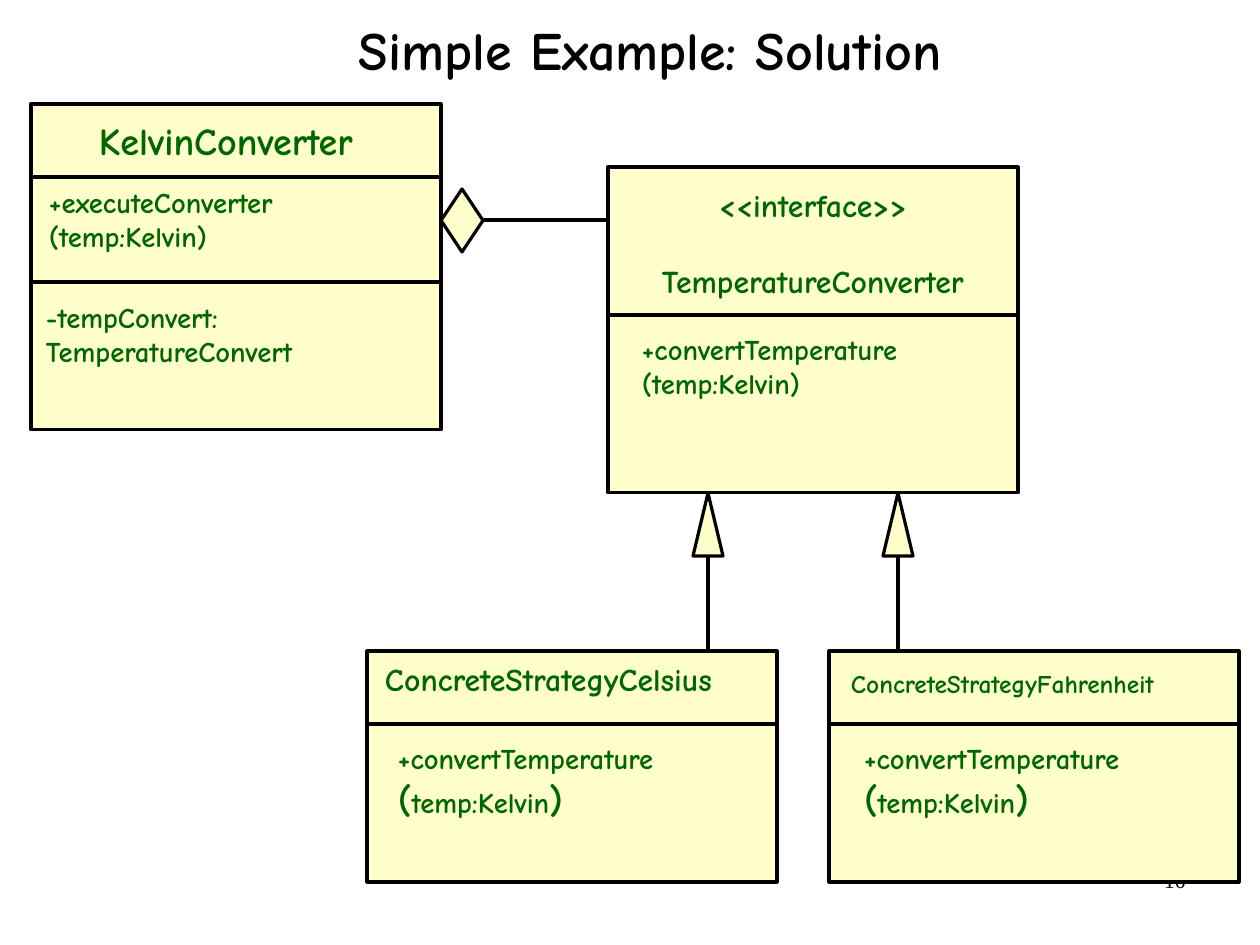
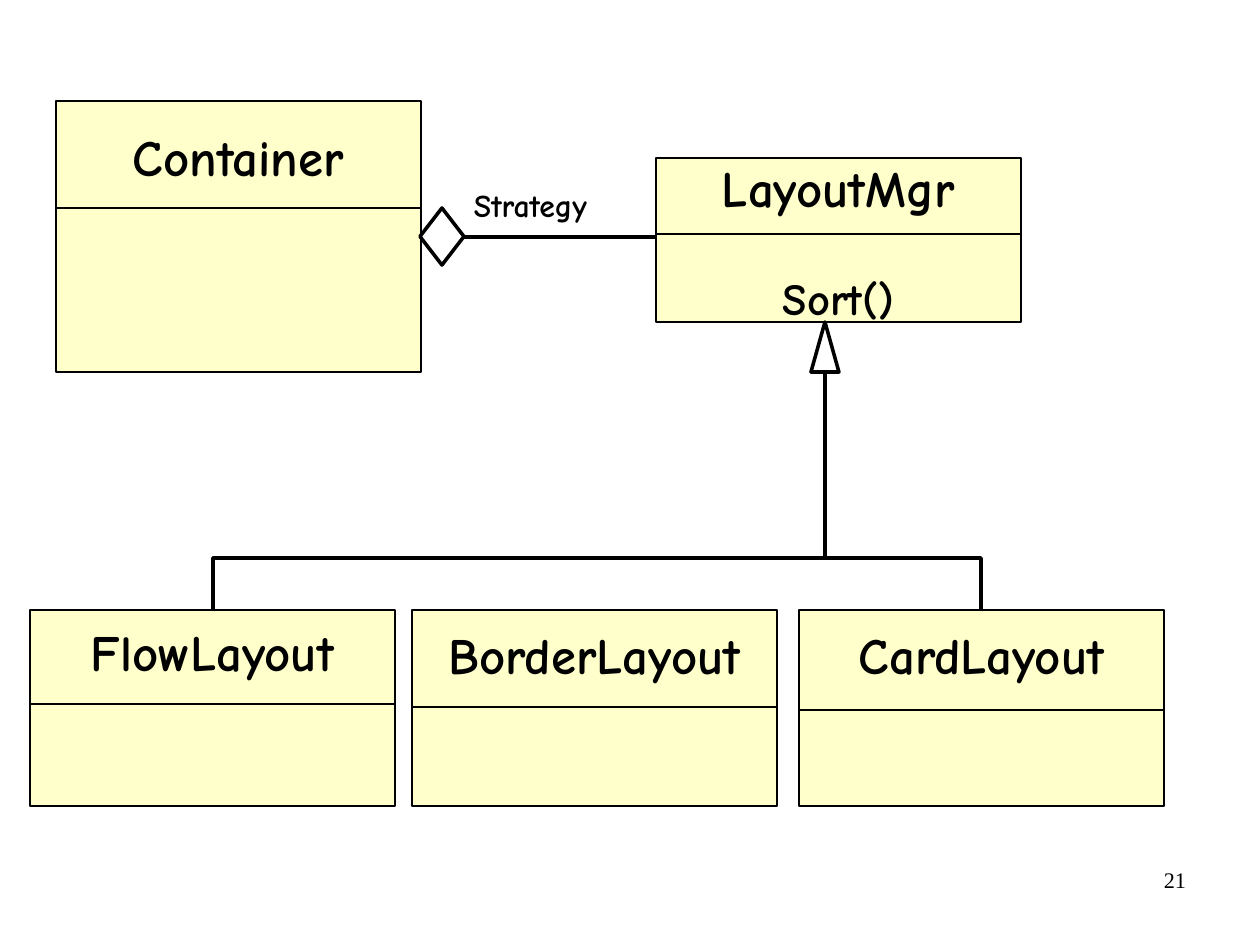
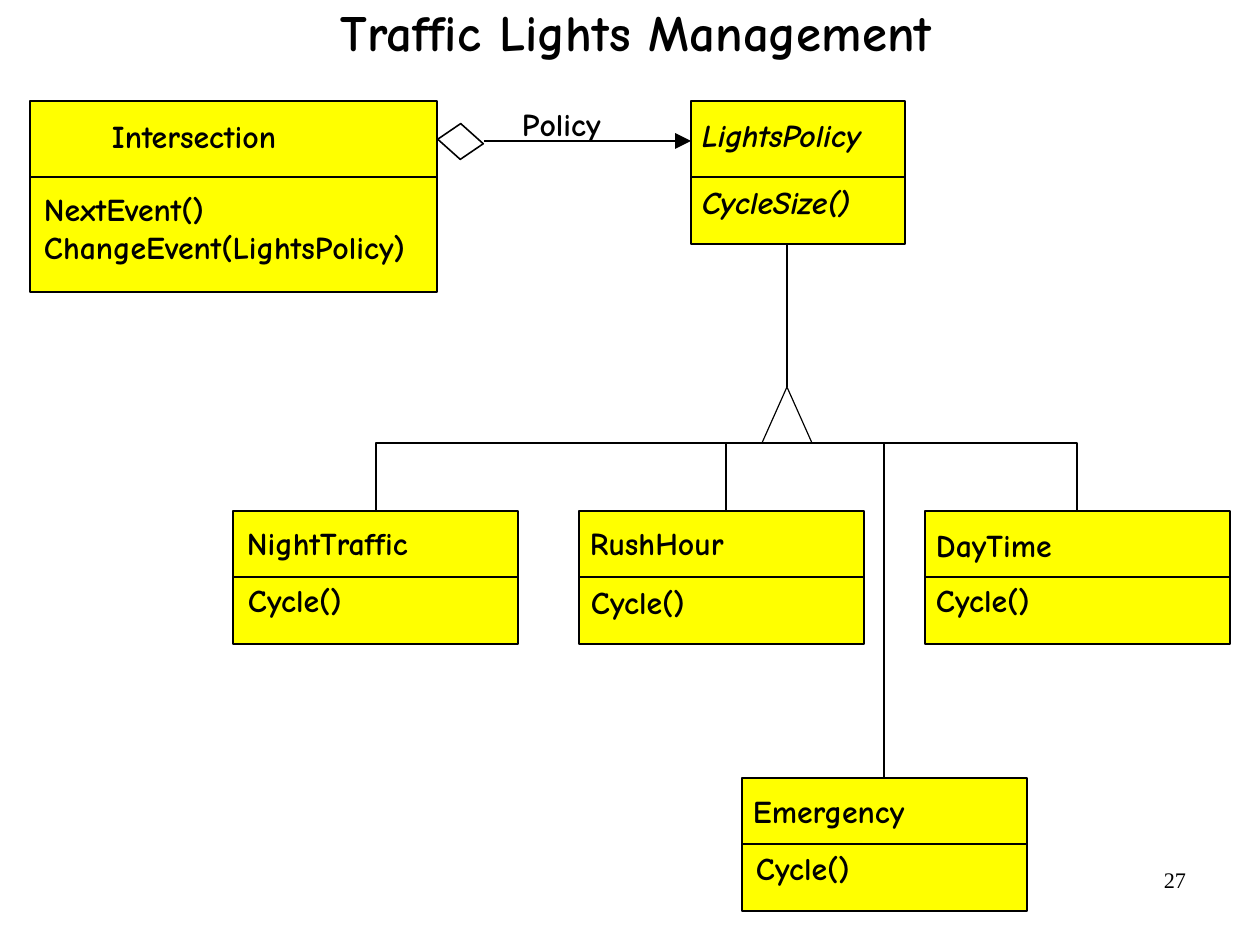
from dataclasses import dataclass

from lxml.etree import SubElement
from pptx import Presentation
from pptx.dml.color import RGBColor
from pptx.enum.shapes import MSO_CONNECTOR, MSO_SHAPE
from pptx.enum.text import MSO_ANCHOR, MSO_AUTO_SIZE, PP_ALIGN
from pptx.oxml.ns import qn
from pptx.util import Pt

PX = 8000  # EMU per px
PAGE_WIDTH, PAGE_HEIGHT = 1260, 945
TITLE_HEIGHT = 71
INSET_X, INSET_Y = 11, 6
LINE_PX_PER_POINT = 1.9
TITLE_ONLY, BLANK = 5, 6
FONT, NUMBER_FONT = "Comic Neue", "Times New Roman"
COLORS = {
    "ink": "000000",
    "green": "006600",
    "cream": "FFFFCC",
    "yellow": "FFFF00",
    "white": "FFFFFF",
}
Point = tuple[int, int]


@dataclass(frozen=True)
class Span:
    text: str
    size: int


@dataclass(frozen=True)
class Label:
    left: int
    top: int
    width: int
    lines: tuple[str | tuple[Span, ...], ...]
    size: int = 20
    align: PP_ALIGN = PP_ALIGN.LEFT
    bold: bool = True
    italic: bool = False
    font: str = FONT
    gap: int = 0


@dataclass(frozen=True)
class ClassBox:
    """Divider and label positions are relative to the box."""
    left: int
    top: int
    width: int
    height: int
    dividers: tuple[int, ...]
    labels: tuple[Label, ...]


@dataclass(frozen=True)
class Marker:
    kind: MSO_SHAPE
    left: int
    top: int
    width: int
    height: int
    fill: str | None = None
    rotation: float = 0


@dataclass(frozen=True)
class Link:
    start: Point
    end: Point
    arrow: bool = False


@dataclass(frozen=True)
class Title:
    text: str
    left: int
    top: int
    width: int
    size: int


@dataclass(frozen=True)
class Diagram:
    number: int
    fill: str
    edge: float
    link_width: float
    marker_width: float
    boxes: tuple[ClassBox, ...]
    markers: tuple[Marker, ...]
    links: tuple[Link, ...]
    traces: tuple[tuple[Point, ...], ...] = ()
    labels: tuple[Label, ...] = ()
    title: Title | None = None
    text_color: str = "ink"


def rgb(name: str) -> RGBColor:
    return RGBColor.from_string(COLORS[name])


def emu(*lengths: int) -> list[int]:
    return [length * PX for length in lengths]


def style_shape(shape, fill: str | None, line_width: float) -> None:
    shape.shadow.inherit = False
    if fill:
        shape.fill.solid()
        shape.fill.fore_color.rgb = rgb(fill)
    else:
        shape.fill.background()
    shape.line.color.rgb = rgb("ink")
    shape.line.width = Pt(line_width)


def style_font(font, name: str, size: int, color: str, bold: bool, italic: bool = False) -> None:
    font.name = name
    font.size = Pt(size)
    font.bold = bold
    font.italic = italic
    font.color.rgb = rgb(color)


def draw_label(page, label: Label, color: str, left: int = 0, top: int = 0) -> None:
    """Draw a label, shifted by the corner of the box that holds it."""
    height = round(len(label.lines) * label.size * LINE_PX_PER_POINT) + 2 * INSET_Y
    box = page.shapes.add_textbox(*emu(left + label.left, top + label.top, label.width, height))
    frame = box.text_frame
    frame.word_wrap = True
    frame.margin_left = frame.margin_right = INSET_X * PX
    frame.margin_top = frame.margin_bottom = INSET_Y * PX
    for index, line in enumerate(label.lines):
        para = frame.add_paragraph() if index else frame.paragraphs[0]
        para.alignment = label.align
        para.space_before = Pt(label.gap if index else 0)
        style_font(para.font, label.font, label.size, color, label.bold, label.italic)
        if isinstance(line, str):
            para.add_run().text = line
            continue
        for span in line:
            run = para.add_run()
            run.text = span.text
            run.font.size = Pt(span.size)


def draw_link(page, link: Link, width: float) -> None:
    connector = page.shapes.add_connector(MSO_CONNECTOR.STRAIGHT, *emu(*link.start, *link.end))
    connector.line.color.rgb = rgb("ink")
    connector.line.width = Pt(width)
    if link.arrow:
        SubElement(connector.line._get_or_add_ln(), qn("a:tailEnd"),
                   type="triangle", w="lg", len="lg")
    SubElement(connector._element.spPr, qn("a:effectLst"))


def draw_trace(page, points: tuple[Point, ...], width: float) -> None:
    """Draw an open line through the points."""
    builder = page.shapes.build_freeform(*points[0], scale=PX)
    builder.add_line_segments(points[1:], close=False)
    style_shape(builder.convert_to_shape(), None, width)


def draw_class_box(page, box: ClassBox, diagram: Diagram) -> None:
    area = emu(box.left, box.top, box.width, box.height)
    outline = page.shapes.add_shape(MSO_SHAPE.RECTANGLE, *area)
    style_shape(outline, diagram.fill, diagram.edge)
    for offset in box.dividers:
        y = box.top + offset
        draw_link(page, Link((box.left, y), (box.left + box.width, y)), diagram.edge)
    for label in box.labels:
        draw_label(page, label, diagram.text_color, box.left, box.top)


def draw_marker(page, marker: Marker, width: float) -> None:
    area = emu(marker.left, marker.top, marker.width, marker.height)
    shape = page.shapes.add_shape(marker.kind, *area)
    shape.rotation = marker.rotation
    style_shape(shape, marker.fill, width)


def draw_title(page, title: Title) -> None:
    box = page.shapes.title
    box.left, box.top, box.width, box.height = emu(title.left, title.top, title.width, TITLE_HEIGHT)
    frame = box.text_frame
    frame.text = title.text
    frame.auto_size = MSO_AUTO_SIZE.NONE
    frame.vertical_anchor = MSO_ANCHOR.MIDDLE
    frame.margin_top = frame.margin_bottom = 0
    para = frame.paragraphs[0]
    para.alignment = PP_ALIGN.CENTER
    para.line_spacing = 0.88
    style_font(para.font, FONT, title.size, "ink", True)


def draw_page(deck, diagram: Diagram) -> None:
    page = deck.slides.add_slide(deck.slide_layouts[TITLE_ONLY if diagram.title else BLANK])
    if diagram.title:
        draw_title(page, diagram.title)
    number = Label(903, 860, 294, (str(diagram.number),), 14, PP_ALIGN.RIGHT,
                   bold=False, font=NUMBER_FONT)
    draw_label(page, number, "ink")
    for box in diagram.boxes:
        draw_class_box(page, box, diagram)
    for link in diagram.links:
        draw_link(page, link, diagram.link_width)
    for points in diagram.traces:
        draw_trace(page, points, diagram.link_width)
    for marker in diagram.markers:
        draw_marker(page, marker, diagram.marker_width)
    for label in diagram.labels:
        draw_label(page, label, diagram.text_color)


def concrete_strategy(left: int, name: Label, operation_left: int) -> ClassBox:
    argument = (Span("(", 24), Span("temp:Kelvin", 18), Span(")", 24))
    operation = Label(operation_left, 84, 366, ("+convertTemperature", argument), 18)
    return ClassBox(left, 651, 410, 231, (73,), (name, operation))


def converter_diagram() -> Diagram:
    context = ClassBox(31, 104, 410, 326, (73, 178), (
        Label(57, 7, 309, ("KelvinConverter",), 24),
        Label(7, 75, 285, ("+executeConverter", "(temp:Kelvin)"), 18),
        Label(4, 190, 307, ("-tempConvert:", "TemperatureConvert"), 18),
    ))
    interface = ClassBox(608, 167, 410, 326, (148,), (
        Label(20, 13, 370, ("<<interface>>", "TemperatureConverter"),
              align=PP_ALIGN.CENTER, gap=24),
        Label(23, 159, 362, ("+convertTemperature", "(temp:Kelvin)"), 18),
    ))
    celsius = concrete_strategy(367, Label(7, 3, 399, ("ConcreteStrategyCelsius",)), 20)
    fahrenheit = concrete_strategy(829, Label(11, 11, 391, ("ConcreteStrategyFahrenheit",), 16), 24)
    arrow_centers = (708, 898)
    return Diagram(
        number=10, fill="cream", edge=2, link_width=2, marker_width=2, text_color="green",
        title=Title("Simple Example: Solution", 68, 18, 1165, 34),
        boxes=(context, interface, celsius, fahrenheit),
        markers=(
            Marker(MSO_SHAPE.DIAMOND, 441, 189, 42, 63, "cream"),
            *(Marker(MSO_SHAPE.ISOSCELES_TRIANGLE, x - 15, 493, 30, 63, "cream")
              for x in arrow_centers),
        ),
        links=(Link((484, 220), (610, 220)),
               *(Link((x, 651), (x, 557)) for x in arrow_centers)),
    )


def layout_class(name: str, left: int, top: int, height: int, divider: int,
                 name_top: int, *more: Label) -> ClassBox:
    label = Label(0, name_top, 365, (name,), 32, PP_ALIGN.CENTER)
    return ClassBox(left, top, 365, height, (divider,), (label, *more))


def layout_diagram() -> Diagram:
    row = (("FlowLayout", 30, 94, 5), ("BorderLayout", 412, 97, 8), ("CardLayout", 799, 100, 8))
    sort = Label(0, 107, 365, ("Sort()",), 28, PP_ALIGN.CENTER)
    row_top, rail = 610, 558
    return Diagram(
        number=21, fill="cream", edge=1, link_width=2.25, marker_width=2.25,
        boxes=(
            layout_class("LayoutMgr", 656, 158, 164, 76, -7, sort),
            layout_class("Container", 56, 101, 271, 107, 19),
            *(layout_class(name, left, row_top, 196, divider, name_top)
              for name, left, divider, name_top in row),
        ),
        markers=(Marker(MSO_SHAPE.DIAMOND, 420, 208, 44, 57, "white"),
                 Marker(MSO_SHAPE.ISOSCELES_TRIANGLE, 811, 322, 28, 50)),
        links=(Link((463, 237), (655, 237)), Link((825, 372), (825, rail))),
        traces=(((213, row_top), (213, rail), (981, rail), (981, row_top)),),
        labels=(Label(463, 180, 163, ("Strategy",)),),
    )


def traffic_policy(name: str, corner: Point, name_at: Point, cycle_at: Point,
                   width: int = 285) -> ClassBox:
    return ClassBox(*corner, width, 133, (66,), (
        Label(*name_at, 237, (name,)),
        Label(*cycle_at, 136, ("Cycle()",)),
    ))


def traffic_diagram() -> Diagram:
    intersection = ClassBox(30, 101, 407, 191, (76,), (
        Label(71, 10, 227, ("Intersection",)),
        Label(3, 83, 442, ("NextEvent()", "ChangeEvent(LightsPolicy)")),
    ))
    policy = ClassBox(691, 101, 214, 143, (76,), (
        Label(0, 9, 214, ("LightsPolicy",), italic=True),
        Label(0, 76, 214, ("CycleSize()",), italic=True),
    ))
    rail, row_top, emergency_top = 443, 511, 778
    return Diagram(
        number=27, fill="yellow", edge=1, link_width=0.75, marker_width=1,
        title=Title("Traffic Lights Management", 101, 0, 1071, 32),
        boxes=(
            intersection,
            policy,
            traffic_policy("NightTraffic", (233, row_top), (3, 7), (4, 64)),
            traffic_policy("RushHour", (579, row_top), (0, 7), (1, 66)),
            traffic_policy("DayTime", (925, row_top), (0, 9), (0, 64), 305),
            traffic_policy("Emergency", (742, emergency_top), (0, 8), (3, 65)),
        ),
        markers=(Marker(MSO_SHAPE.PARALLELOGRAM, 442, 128, 37, 27, rotation=41.8),),
        links=(
            Link((484, 141), (691, 141), arrow=True),
            Link((787, 244), (787, 387)),
            Link((726, rail), (726, row_top)),
            Link((884, rail), (884, emergency_top)),
        ),
        traces=(
            ((376, row_top), (376, rail), (1077, rail), (1077, row_top)),
            ((762, rail), (787, 387), (812, rail)),
        ),
        labels=(Label(511, 99, 117, ("Policy",)),),
    )


def main() -> None:
    deck = Presentation()
    deck.slide_width, deck.slide_height = emu(PAGE_WIDTH, PAGE_HEIGHT)
    for diagram in (converter_diagram(), layout_diagram(), traffic_diagram()):
        draw_page(deck, diagram)
    deck.save("out.pptx")


if __name__ == "__main__":
    main()
